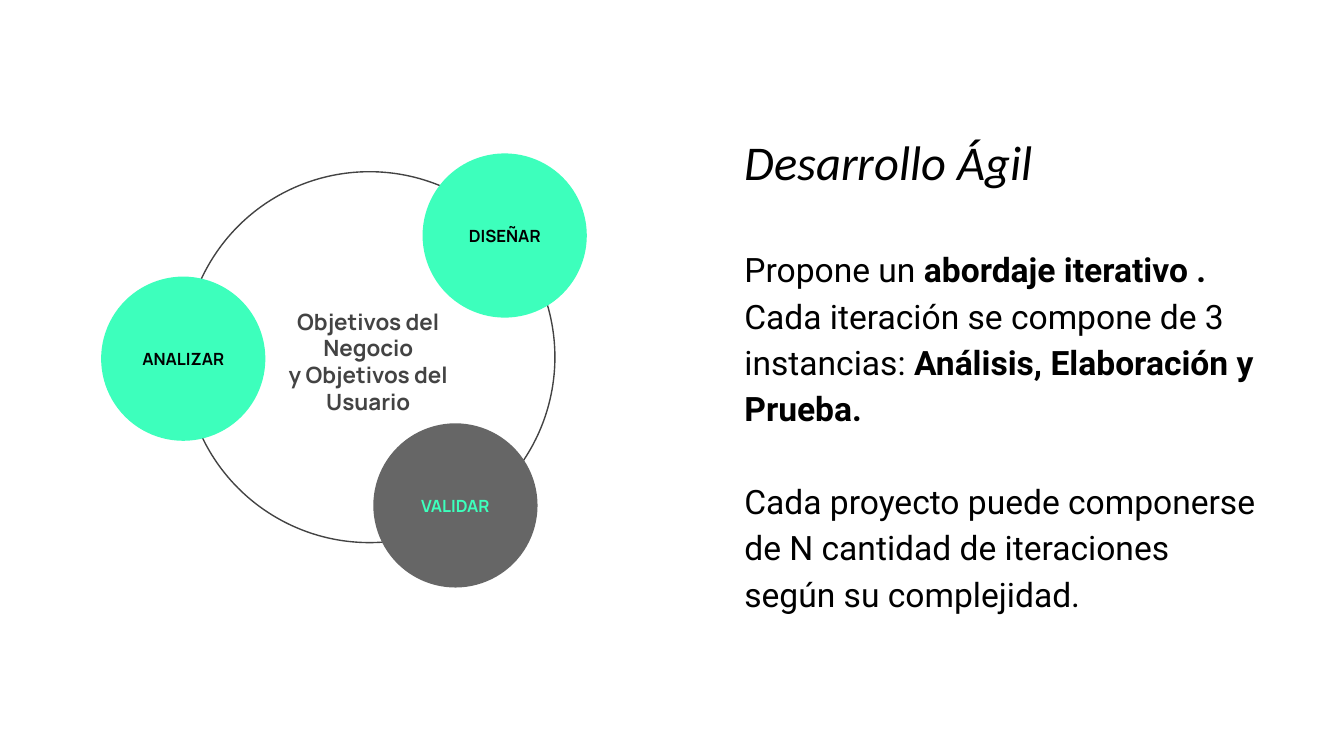
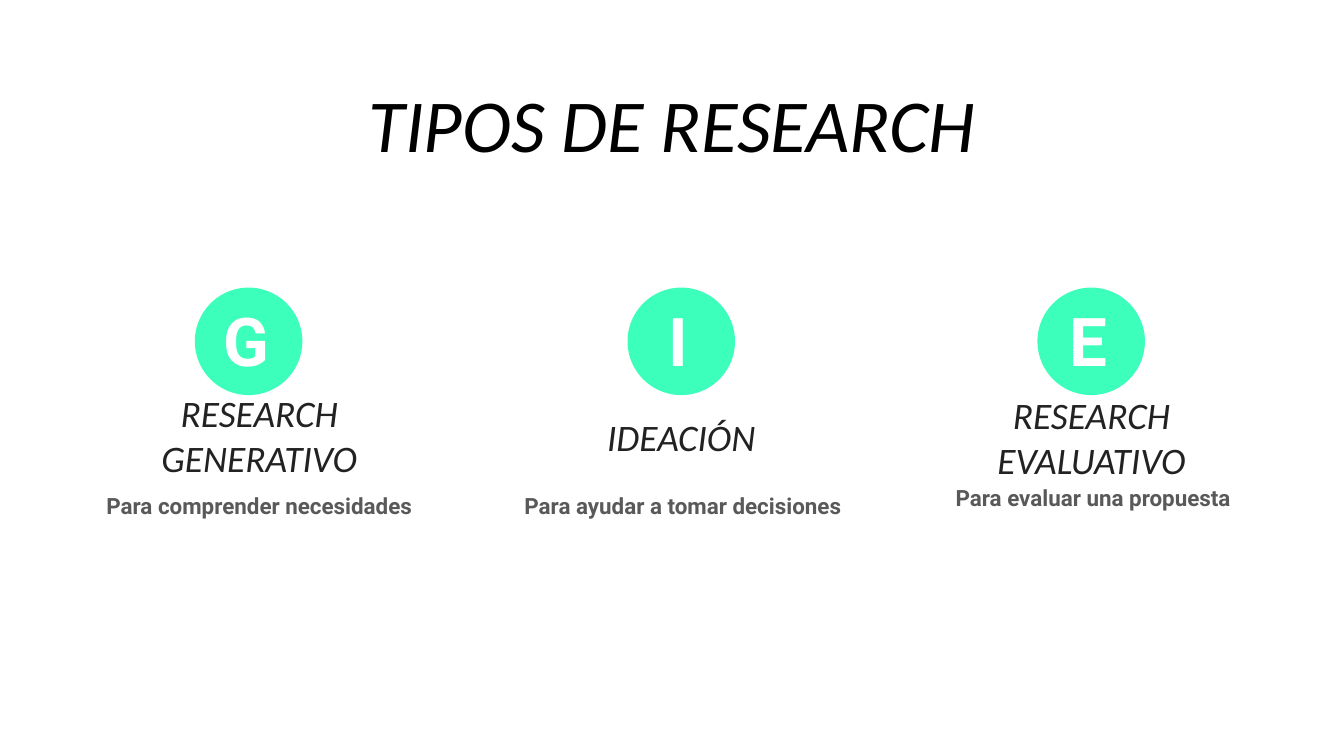
from pptx import Presentation
from pptx.dml.color import RGBColor
from pptx.enum.shapes import MSO_SHAPE as Preset
from pptx.enum.text import MSO_ANCHOR as Anchor, MSO_AUTO_SIZE as AutoSize, PP_ALIGN as Align
from pptx.util import Pt

MINT = RGBColor(0x3D, 0xFF, 0xBC)
BLACK = RGBColor(0x00, 0x00, 0x00)
WHITE = RGBColor(0xFF, 0xFF, 0xFF)
INK = RGBColor(0x22, 0x22, 0x22)
CHARCOAL = RGBColor(0x43, 0x43, 0x43)
SLATE = RGBColor(0x59, 0x59, 0x59)
GREY = RGBColor(0x66, 0x66, 0x66)

INSET = Pt(7.2)
TITLE_ONLY = 5

HEADING = {"name": "Calibri", "italic": True, "bold": False}
BODY = {"name": "Roboto", "size": Pt(18)}
STAGE = {"name": "Manrope", "size": Pt(9), "bold": True}
GOAL = {"name": "Manrope", "size": Pt(12), "bold": True}
KIND = {**HEADING, "size": Pt(20)}
PURPOSE = {"name": "Roboto", "size": Pt(12), "bold": True}
INITIAL = {"name": "Roboto", "size": Pt(36), "bold": True}


def set_values(target, values):
    for name, value in values.items():
        setattr(target, name, value)


def write(frame, paragraphs, font, color, align=Align.CENTER, anchor=Anchor.MIDDLE, spacing=None):
    set_values(frame, {
        "word_wrap": True, "auto_size": AutoSize.NONE, "vertical_anchor": anchor,
        "margin_left": INSET, "margin_right": INSET,
        "margin_top": INSET, "margin_bottom": INSET,
    })
    for index, runs in enumerate(paragraphs):
        paragraph = frame.add_paragraph() if index else frame.paragraphs[0]
        set_values(paragraph, {"alignment": align, "line_spacing": spacing})
        for text, emphasis in runs:
            run = paragraph.add_run()
            run.text = text
            set_values(run.font, {**font, **emphasis})
            run.font.color.rgb = color


def plain(*lines):
    return [[(line, {})] for line in lines]


def add_title(slide, text, box, size, **layout):
    title = slide.shapes.title
    set_values(title, dict(zip(("left", "top", "width", "height"), map(Pt, box))))
    write(title.text_frame, plain(text), {**HEADING, "size": Pt(size)}, BLACK, **layout)


def add_text(slide, paragraphs, box, font, color, **layout):
    frame = slide.shapes.add_textbox(*map(Pt, box)).text_frame
    write(frame, paragraphs, font, color, **layout)
    return frame


def add_circle(slide, left, top, diameter, fill=None, line=None):
    circle = slide.shapes.add_shape(Preset.OVAL, *map(Pt, (left, top, diameter, diameter)))
    circle.shadow.inherit = False
    if fill is None:
        circle.fill.background()
    else:
        circle.fill.solid()
        circle.fill.fore_color.rgb = fill
    if line is None:
        circle.line.fill.background()
    else:
        circle.line.color.rgb = line
        circle.line.width = Pt(0.75)
    return circle


def build_agile(slide):
    add_title(slide, "Desarrollo Ágil", (391.7, 63.4, 375.8, 77.8), 26,
              align=Align.LEFT, anchor=Anchor.TOP)
    strong = {"bold": True}
    approach = [
        [("Propone un ", {}), ("abordaje iterativo .", strong)],
        [("Cada iteración se compone de 3 instancias: ", {}),
         ("Análisis, Elaboración y Prueba.", strong)],
        *plain("Cada proyecto puede componerse de N cantidad de iteraciones",
               "según su complejidad."),
    ]
    frame = add_text(slide, approach, (391.7, 123.1, 308.2, 217.4), BODY, BLACK,
                     align=Align.LEFT, anchor=Anchor.TOP, spacing=1.15)
    frame.paragraphs[2].space_before = Pt(24.8)

    add_circle(slide, 98.6, 92, 198.7, line=CHARCOAL)
    stages = [
        ("ANALIZAR", 54.2, 148.2, MINT, BLACK),
        ("DISEÑAR", 226.4, 82.2, MINT, BLACK),
        ("VALIDAR", 200, 226.8, GREY, MINT),
    ]
    for stage, left, top, fill, color in stages:
        circle = add_circle(slide, left, top, 88, fill)
        write(circle.text_frame, plain(stage), STAGE, color)
    add_text(slide, plain("Objetivos del Negocio", "y Objetivos del Usuario"),
             (129.6, 157.7, 135.4, 69.8), GOAL, CHARCOAL, anchor=Anchor.TOP)


def build_research(slide):
    add_title(slide, "TIPOS DE RESEARCH", (67, 36, 586, 59.8), 40)
    kinds = [
        ("G", 104.4, "RESEARCH GENERATIVO", (46, 211.5),
         "Para comprender necesidades", (36, 253.4, 205.9)),
        ("I", 336.2, "IDEACIÓN", (272.1, 212.4),
         "Para ayudar a tomar decisiones", (258.2, 253.4, 215.3)),
        ("E", 555.8, "RESEARCH EVALUATIVO", (491.8, 212.4),
         "Para evaluar una propuesta", (478, 249.1, 215.3)),
    ]
    for initial, left, kind, kind_corner, purpose, purpose_edge in kinds:
        add_text(slide, plain(kind), (*kind_corner, 185.8, 43.2), KIND, INK)
        add_text(slide, plain(purpose), (*purpose_edge, 34.6), PURPOSE, SLATE)
        add_circle(slide, left, 154.1, 57.6, MINT)
        add_text(slide, plain(initial), (left + 0.7, 164.2, 53.3, 36), INITIAL, WHITE)


def main():
    deck = Presentation()
    set_values(deck, {"slide_width": Pt(720), "slide_height": Pt(405)})
    for build in (build_agile, build_research):
        build(deck.slides.add_slide(deck.slide_layouts[TITLE_ONLY]))
    deck.save("out.pptx")


if __name__ == "__main__":
    main()
